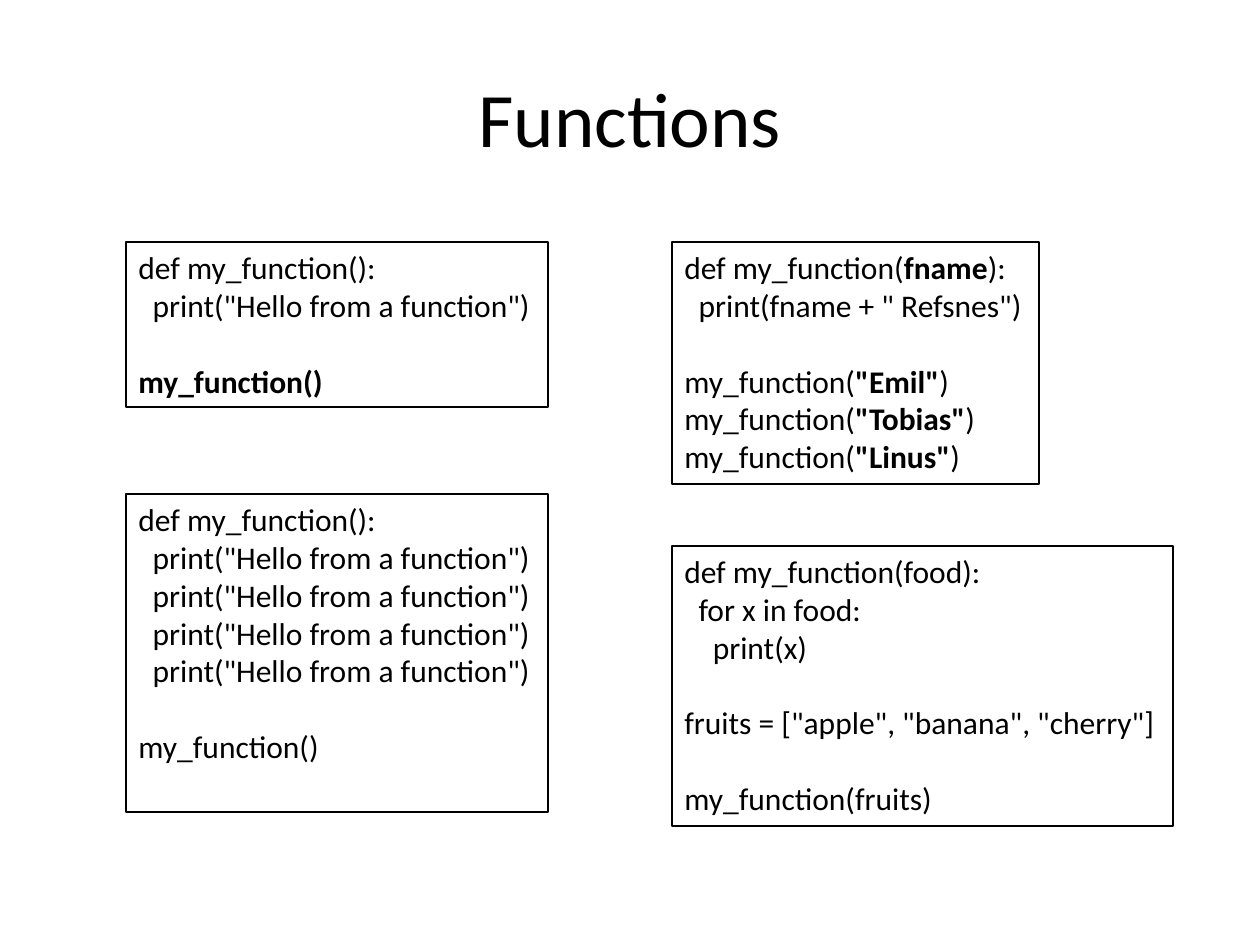
from pptx import Presentation
from pptx.dml.color import RGBColor
from pptx.enum.shapes import MSO_SHAPE
from pptx.enum.text import MSO_ANCHOR, MSO_AUTO_SIZE, PP_ALIGN
from pptx.util import Emu, Pt

RECT = MSO_SHAPE.RECTANGLE
TOP, MIDDLE = MSO_ANCHOR.TOP, MSO_ANCHOR.MIDDLE
LEFT, CENTER = PP_ALIGN.LEFT, PP_ALIGN.CENTER
GROW = MSO_AUTO_SIZE.SHAPE_TO_FIT_TEXT

# Content: a box is a list of paragraphs, a paragraph a list of (code, bold)
TITLE = [[("Functions", False)]]
HELLO = '  print("Hello from a function")'

SIMPLE = [[(f"def my_function():\n{HELLO}\n\n", False), ("my_function()", True)]]
REPEATED = [[(line, False)]
            for line in ["def my_function():", *[HELLO] * 4, "\nmy_function()"]]
ARGUMENT = [[
    ("def my_function(", False), ("fname", True),
    ('):\n  print(fname + " Refsnes")\n\nmy_function(', False), ('"Emil"', True),
    (")\nmy_function(", False), ('"Tobias"', True),
    (")\nmy_function(", False), ('"Linus"', True), (")", False),
]]
LIST_ARGUMENT = [[("""def my_function(food):
  for x in food:
    print(x)

fruits = ["apple", "banana", "cherry"]

my_function(fruits)""", False)]]

# Theme
THEME = {
    "font": "Calibri",
    "ink": RGBColor(0, 0, 0),
    "title": Pt(44),
    "code": Pt(18),
    "border": Pt(0.75),
}

# Layout in px
PX = 914400 / 126
SLIDE = (1260, 945)
TITLE_AT = (63, 38, 1134, 158)
COL_1, COL_2, ROW_1 = 126, 672, 242
BOXES = [
    (SIMPLE, (COL_1, ROW_1, 422, 165)),
    (REPEATED, (COL_1, 494, 422, 318)),
    (ARGUMENT, (COL_2, ROW_1, 367, 242)),
    (LIST_ARGUMENT, (COL_2, 546, 501, 280)),
]


def emu(lengths):
    return [Emu(round(n * PX)) for n in lengths]


def set_all(target, values):
    for name, value in values.items():
        setattr(target, name, value)


def write(tf, paragraphs, size, align):
    for i, runs in enumerate(paragraphs):
        p = tf.add_paragraph() if i else tf.paragraphs[0]
        p.alignment = align
        for text, bold in runs:
            for j, line in enumerate(text.split("\n")):
                if j:
                    p.add_line_break()
                if line:
                    r = p.add_run()
                    r.text = line
                    set_all(r.font, {"name": THEME["font"], "size": size, "bold": bold})
                    r.font.color.rgb = THEME["ink"]


def add_code_box(slide, paragraphs, at):
    sp = slide.shapes.add_shape(RECT, *emu(at))
    sp.shadow.inherit = False
    sp.fill.background()
    sp.line.color.rgb = THEME["ink"]
    sp.line.width = THEME["border"]
    tf = sp.text_frame
    set_all(tf, {"word_wrap": False, "auto_size": GROW, "vertical_anchor": TOP})
    write(tf, paragraphs, THEME["code"], LEFT)


def main():
    prs = Presentation()
    prs.slide_width, prs.slide_height = emu(SLIDE)
    s = prs.slides.add_slide(prs.slide_layouts[6])

    # Title
    tf = s.shapes.add_textbox(*emu(TITLE_AT)).text_frame
    set_all(tf, {"word_wrap": True, "vertical_anchor": MIDDLE})
    write(tf, TITLE, THEME["title"], CENTER)

    # Code boxes
    for paragraphs, at in BOXES:
        add_code_box(s, paragraphs, at)

    prs.save("out.pptx")


if __name__ == "__main__":
    main()
